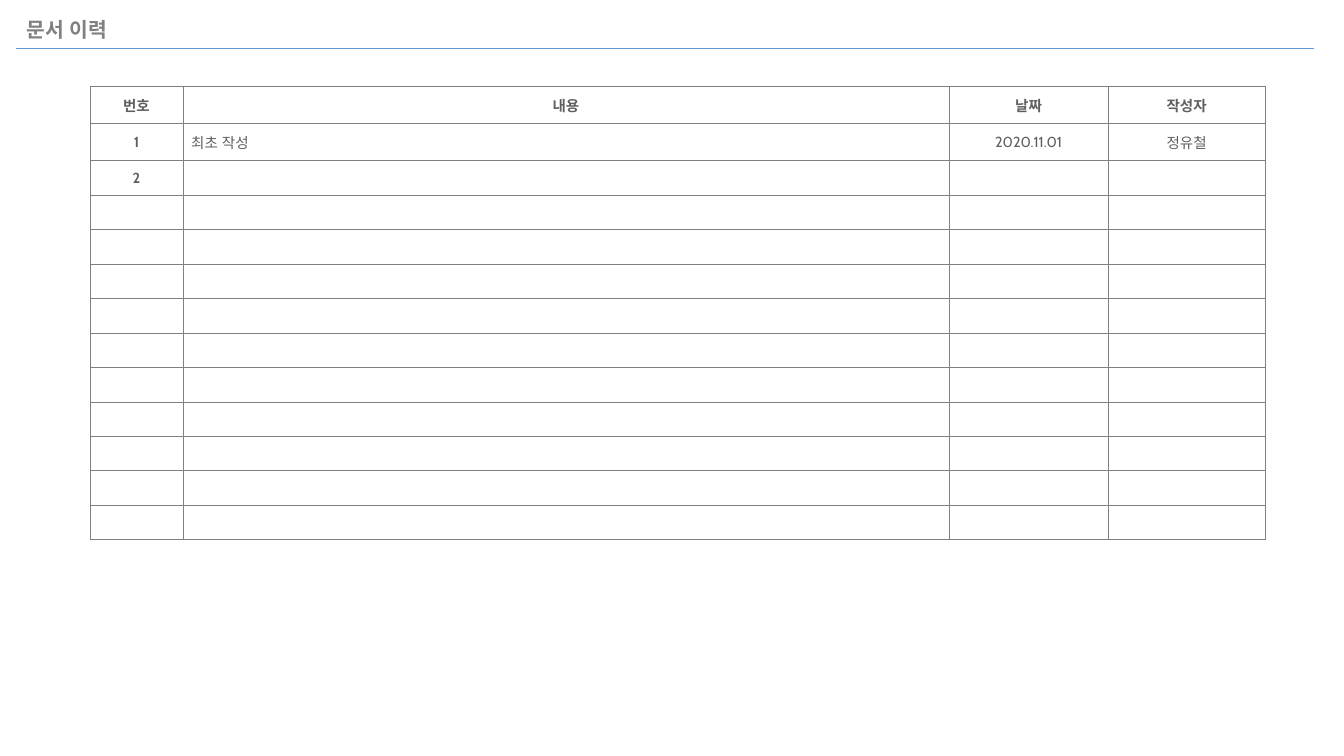
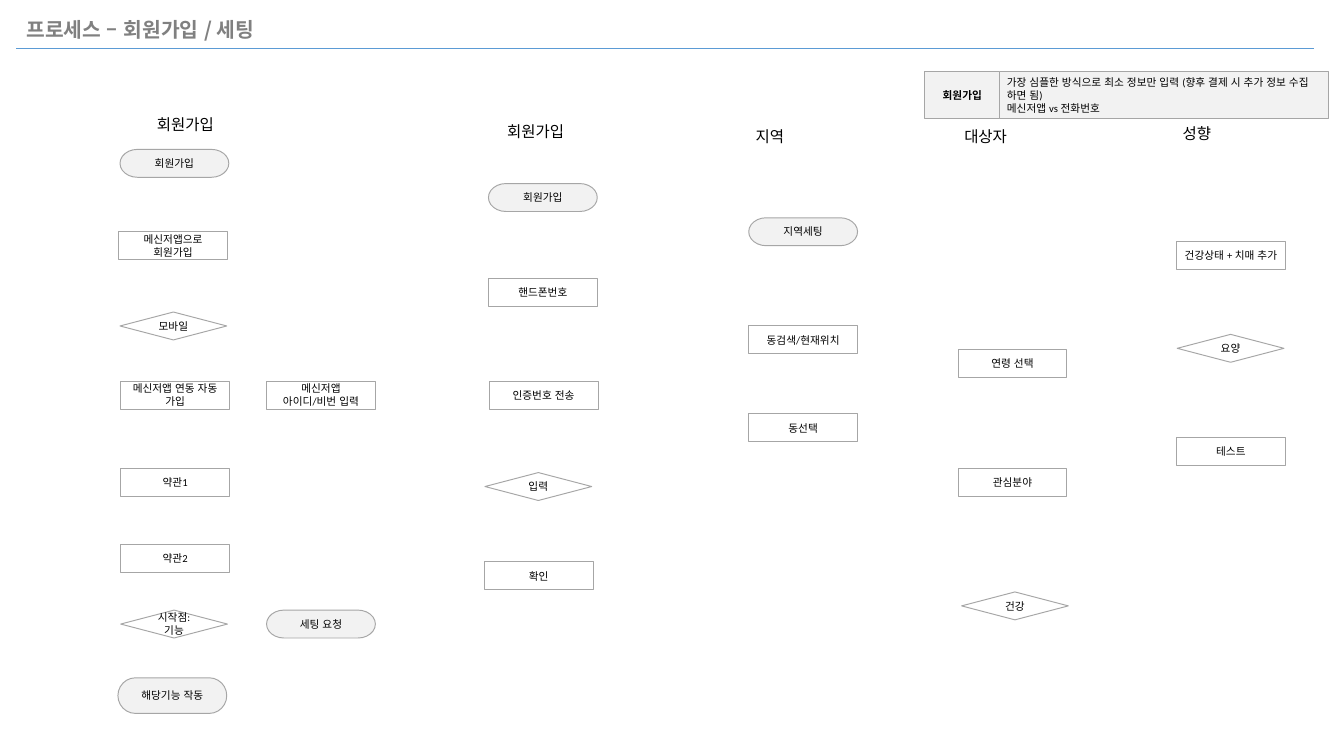
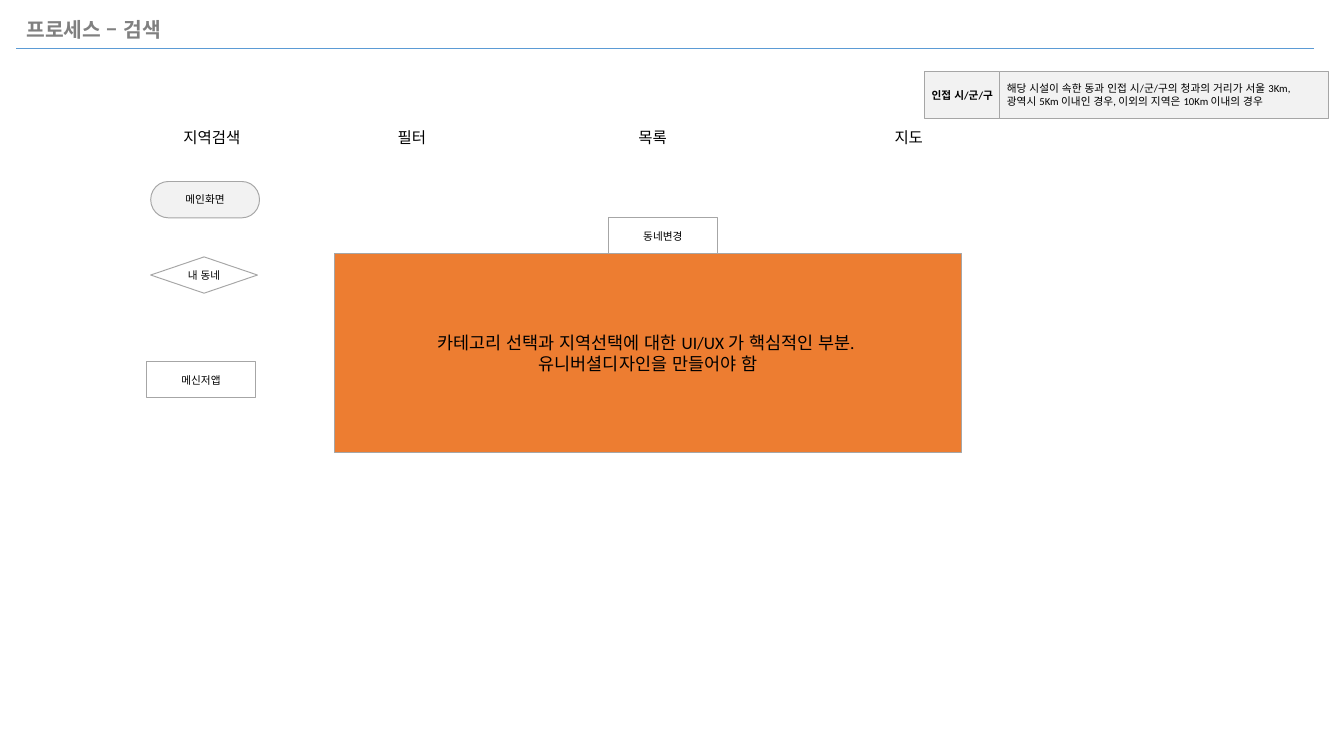
"""Build a service planning deck: document history, sign-up process and search process."""
import pptx
import pptx.dml.color
import pptx.enum.shapes
import pptx.enum.text
import pptx.oxml
import pptx.oxml.ns
import pptx.util

RGB = pptx.dml.color.RGBColor
SHAPE = pptx.enum.shapes.MSO_SHAPE
ALIGN = pptx.enum.text.PP_ALIGN
ANCHOR = pptx.enum.text.MSO_ANCHOR
FIT = pptx.enum.text.MSO_AUTO_SIZE

PX = 9144
BLACK = RGB(0x00, 0x00, 0x00)
TITLE_GRAY = RGB(0x80, 0x80, 0x80)
TABLE_GRAY = RGB(0x5F, 0x5F, 0x5F)
OUTLINE = RGB(0xA6, 0xA6, 0xA6)
PALE = RGB(0xF2, 0xF2, 0xF2)
ORANGE = RGB(0xED, 0x7D, 0x31)
RULE_BLUE = RGB(0x5B, 0x9B, 0xD5)
NAMESPACE = pptx.oxml.ns.nsdecls("a")

TITLE = {"name": "Noto Sans CJK KR", "size": pptx.util.Pt(21), "bold": True, "color": TITLE_GRAY}
HEADING = {"name": "Calibri", "size": pptx.util.Pt(16), "color": BLACK}
LABEL = {"name": "Calibri", "size": pptx.util.Pt(11), "color": BLACK}
BOLD_LABEL = {**LABEL, "bold": True}
MESSAGE = {**LABEL, "size": pptx.util.Pt(18)}
CELL = {"name": "Cabin", "size": pptx.util.Pt(15), "bold": False, "color": TABLE_GRAY}
BOLD_CELL = {**CELL, "bold": True}

START, STEP, CHOICE = SHAPE.FLOWCHART_TERMINATOR, SHAPE.FLOWCHART_PROCESS, SHAPE.FLOWCHART_DECISION
STEP_WIDTH = {START: 156, STEP: 156, CHOICE: 153}
STEP_FILL = {START: PALE, STEP: None, CHOICE: None}


def write_text(frame, text, style, align=ALIGN.LEFT):
    for number, line in enumerate(text.split("\n")):
        para = frame.add_paragraph() if number else frame.paragraphs[0]
        para.alignment = align
        span = para.add_run()
        span.text = line
        span.font.language_id = pptx.enum.lang.MSO_LANGUAGE_ID.KOREAN
        for name, value in style.items():
            if name == "color":
                span.font.color.rgb = value
            else:
                setattr(span.font, name, value)


def add_box(shapes, kind, place, text, style, fill=None, align=ALIGN.CENTER):
    box = shapes.add_shape(kind, *[length * PX for length in place])
    box.shadow.inherit = False
    if fill is None:
        box.fill.background()
    else:
        box.fill.solid()
        box.fill.fore_color.rgb = fill
    box.line.color.rgb = OUTLINE
    box.line.width = pptx.util.Pt(1)
    box.text_frame.word_wrap = True
    box.text_frame.vertical_anchor = ANCHOR.MIDDLE
    write_text(box.text_frame, text, style, align)


PAGES = [
    {"title": "문서 이력"},
    {
        "title": "프로세스 – 회원가입 / 세팅",
        "callout": ("회원가입",
                    "가장 심플한 방식으로 최소 정보만 입력 (향후 결제 시 추가 정보 수집 하면 됨)\n"
                    "메신저앱 vs 전화번호"),
        "headings": [(215, 160, 110, "회원가입"), (717, 170, 110, "회원가입"),
                     (1073, 177, 65, "지역"), (1372, 177, 88, "대상자"), (1685, 173, 65, "성향")],
        "steps": [
            (START, 172, 214, 40, "회원가입"),
            (STEP, 170, 332, 40, "메신저앱으로 회원가입"),
            (CHOICE, 172, 447, 40, "모바일"),
            (STEP, 173, 546, 40, "메신저앱 연동 자동 가입"),
            (STEP, 382, 546, 40, "메신저앱 아이디/비번 입력"),
            (STEP, 173, 671, 40, "약관1"),
            (STEP, 173, 780, 40, "약관2"),
            (CHOICE, 173, 874, 40, "시작점: 기능"),
            (START, 382, 874, 40, "세팅 요청"),
            (START, 169, 971, 51, "해당기능 작동"),
            (START, 700, 263, 40, "회원가입"),
            (STEP, 700, 399, 40, "핸드폰번호"),
            (STEP, 701, 546, 40, "인증번호 전송"),
            (CHOICE, 695, 677, 40, "입력"),
            (STEP, 694, 805, 40, "확인"),
            (START, 1073, 312, 40, "지역세팅"),
            (STEP, 1073, 467, 40, "동검색/현재위치"),
            (STEP, 1073, 593, 40, "동선택"),
            (STEP, 1373, 501, 40, "연령 선택"),
            (STEP, 1373, 671, 40, "관심분야"),
            (CHOICE, 1378, 848, 40, "건강"),
            (STEP, 1686, 346, 40, "건강상태 + 치매 추가"),
            (CHOICE, 1687, 479, 40, "요양"),
            (STEP, 1686, 627, 40, "테스트"),
        ],
    },
    {
        "title": "프로세스 – 검색",
        "callout": ("인접 시/군/구",
                    "해당 시설이 속한 동과 인접 시/군/구의 청과의 거리가 서울 3Km, "
                    "광역시 5Km 이내인 경우, 이외의 지역은 10Km 이내의 경우"),
        "headings": [(253, 179, 110, "지역검색"), (560, 179, 65, "필터"),
                     (905, 179, 65, "목록"), (1272, 179, 65, "지도")],
        "steps": [
            (START, 216, 260, 52, "메인화면"),
            (CHOICE, 216, 368, 52, "내 동네"),
            (STEP, 210, 518, 52, "메신저앱"),
            (STEP, 872, 312, 52, "동네변경"),
        ],
    },
]

deck = pptx.Presentation()
deck.slide_width, deck.slide_height = 1926 * PX, 1083 * PX

for content in PAGES:
    page = deck.slides.add_slide(deck.slide_layouts[6])
    rule = page.shapes.add_connector(
        pptx.enum.shapes.MSO_CONNECTOR.STRAIGHT, 23 * PX, 69 * PX, 1883 * PX, 69 * PX)
    rule.line.color.rgb = RULE_BLUE
    rule.line.width = pptx.util.Pt(0.5)
    rule._element.spPr.append(pptx.oxml.parse_xml(f"<a:effectLst {NAMESPACE}/>"))

    texts = [(28, 20, 399, 45, content["title"], TITLE, True)]
    for left, top, width, heading in content.get("headings", []):
        texts.append((left, top, width, 37, heading, HEADING, False))
    for left, top, width, height, text, style, wrap in texts:
        box = page.shapes.add_textbox(left * PX, top * PX, width * PX, height * PX)
        box.text_frame.word_wrap = wrap
        box.text_frame.auto_size = FIT.SHAPE_TO_FIT_TEXT
        write_text(box.text_frame, text, style)

    if "callout" in content:
        name, detail = content["callout"]
        callout = page.shapes.add_group_shape()
        add_box(callout.shapes, SHAPE.RECTANGLE, (1433, 102, 471, 68), detail, LABEL, PALE, ALIGN.LEFT)
        add_box(callout.shapes, SHAPE.RECTANGLE, (1325, 102, 108, 68), name, BOLD_LABEL, PALE)

    for kind, left, top, height, text in content.get("steps", []):
        place = (left, top, STEP_WIDTH[kind], height)
        add_box(page.shapes, kind, place, text, LABEL, STEP_FILL[kind])

history_page, signup_page, search_page = deck.slides

add_box(search_page.shapes, SHAPE.RECTANGLE, (479, 363, 899, 285),
        "카테고리 선택과 지역선택에 대한 UI/UX 가 핵심적인 부분. \n유니버셜디자인을 만들어야 함",
        MESSAGE, ORANGE)

HISTORY = [["번호", "내용", "날짜", "작성자"], ["1", "최초 작성", "2020.11.01", "정유철"], ["2"]]
COLUMN_WIDTHS = [133, 1098, 228, 225]
ROW_HEIGHTS = [54, 53, 50] + [49, 49, 50] * 3 + [49]
history = history_page.shapes.add_table(
    len(ROW_HEIGHTS), len(COLUMN_WIDTHS), 129 * PX, 123 * PX,
    sum(COLUMN_WIDTHS) * PX, sum(ROW_HEIGHTS) * PX).table
history.first_row = history.horz_banding = False
for column, width in zip(history.columns, COLUMN_WIDTHS):
    column.width = width * PX
for row_number, row in enumerate(history.rows):
    row.height = ROW_HEIGHTS[row_number] * PX
    values = HISTORY[row_number] if row_number < len(HISTORY) else []
    for column_number, cell in enumerate(row.cells):
        for side in "LRTB":
            cell._tc.get_or_add_tcPr().append(pptx.oxml.parse_xml(
                f'<a:ln{side} {NAMESPACE} w="6350"><a:solidFill>'
                f'<a:srgbClr val="{TITLE_GRAY}"/></a:solidFill></a:ln{side}>'))
        cell.fill.background()
        if column_number < len(values):
            cell.vertical_anchor = ANCHOR.MIDDLE
            for side in ("left", "right", "top", "bottom"):
                setattr(cell, f"margin_{side}", 12 * PX)
            is_header = row_number == 0 or column_number == 0
            is_note = row_number > 0 and column_number == 1
            write_text(cell.text_frame, values[column_number],
                       BOLD_CELL if is_header else CELL,
                       ALIGN.LEFT if is_note else ALIGN.CENTER)

deck.save("out.pptx")
